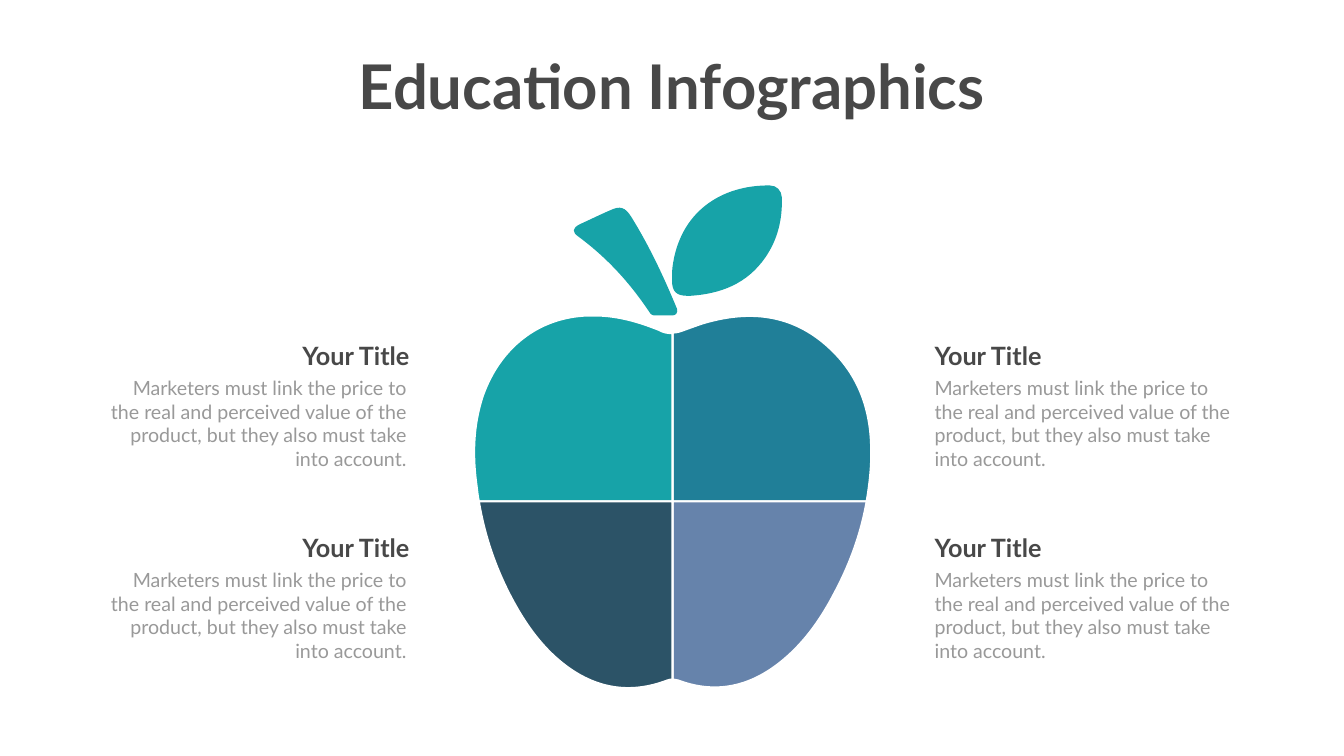
from pptx import Presentation
from pptx.dml.color import RGBColor
from pptx.enum.text import MSO_ANCHOR, MSO_AUTO_SIZE, PP_ALIGN
from pptx.oxml.ns import qn
from pptx.util import Inches, Pt

LEFT, MID, RIGHT = PP_ALIGN.LEFT, PP_ALIGN.CENTER, PP_ALIGN.RIGHT
TOP = MSO_ANCHOR.TOP
FIXED = MSO_AUTO_SIZE.NONE

WIDE, HIGH = 26.66, 15
FONT = "Lato"
DARK, GREY, WHITE = "484848", "999999", "FFFFFF"
TEAL, BLUE, NAVY, LILAC = "17A3A8", "207F98", "2C5367", "6683AB"
EDGE = 2.89

TITLE = "Education Infographics"
HEAD = "Your Title"
BODY = ("Marketers must link the price to the real and perceived value "
        "of the product, but they also must take into account.")
SIDES = [
    {"align": RIGHT, "head": (3.89, 4.33), "body": (2.01, 6.15)},
    {"align": LEFT, "head": (18.44, 4.33), "body": (18.44, 6.2)},
]
ROWS = 2
ROW_TOP, ROW_STEP = 6.7, 3.81
HEAD_HIGH, BODY_HIGH = 0.71, 1.99

CX, CY = 13.34, 9.95
STEM = [(12.98, 6.26), (12.95, 6.26, 12.92, 6.24, 12.9, 6.22),
        (12.51, 5.63, 12.05, 5.12, 11.48, 4.7),
        (11.34, 4.6, 11.35, 4.53, 11.5, 4.45),
        (11.7, 4.36, 11.9, 4.26, 12.11, 4.17),
        (12.3, 4.08, 12.4, 4.11, 12.52, 4.3),
        (12.88, 4.88, 13.17, 5.5, 13.43, 6.13),
        (13.45, 6.19, 13.41, 6.26, 13.34, 6.26)]
LEAF = [(13.69, 5.87), (13.68, 5.87, 13.66, 5.87, 13.64, 5.87),
        (13.41, 5.87, 13.33, 5.78, 13.33, 5.56),
        (13.33, 5.47, 13.33, 5.39, 13.34, 5.3),
        (13.48, 4.21, 14.3, 3.67, 15.27, 3.68),
        (15.41, 3.68, 15.5, 3.78, 15.51, 3.92),
        (15.52, 4.35, 15.43, 4.75, 15.18, 5.11),
        (14.82, 5.63, 14.3, 5.83, 13.69, 5.87)]
TOP_RIGHT = [(13.59, 6.54), (13.76, 6.48, 13.91, 6.42, 14.07, 6.38),
             (14.97, 6.14, 15.79, 6.27, 16.48, 6.93),
             (17.04, 7.46, 17.27, 8.14, 17.28, 8.89),
             (17.29, 9.25, 17.25, 9.6, 17.19, CY),
             (CX, CY), (CX, 6.6), (13.43, 6.6, 13.51, 6.57, 13.59, 6.54)]
TOP_LEFT = [(9.58, 7.85), (9.91, 6.92, 10.66, 6.29, 11.67, 6.26),
            (11.84, 6.26), (12.26, 6.27, 12.66, 6.38, 13.08, 6.55),
            (13.15, 6.59, 13.23, 6.61, 13.31, 6.61),
            (CX, 6.61), (CX, CY), (9.5, CY),
            (9.48, 9.86, 9.47, 9.78, 9.46, 9.68),
            (9.37, 9.06, 9.38, 8.45, 9.58, 7.85)]
LOW_RIGHT = [(17.19, CY), (17.08, 10.58, 16.86, 11.19, 16.55, 11.77),
             (16.27, 12.31, 15.92, 12.8, 15.44, 13.17),
             (14.83, 13.64, 14.17, 13.77, 13.45, 13.5),
             (13.41, 13.49, 13.38, 13.48, CX, 13.48), (CX, CY)]
LOW_LEFT = [(CX, 13.48), (13.31, 13.48, 13.28, 13.49, 13.24, 13.5),
            (12.48, 13.79, 11.79, 13.66, 11.16, 13.16),
            (10.76, 12.84, 10.46, 12.43, 10.21, 11.98),
            (9.86, 11.35, 9.62, 10.67, 9.5, CY), (CX, CY)]
PARTS = [
    (STEM, TEAL, False),
    (LEAF, TEAL, False),
    (TOP_RIGHT, BLUE, True),
    (TOP_LEFT, TEAL, True),
    (LOW_RIGHT, LILAC, True),
    (LOW_LEFT, NAVY, True),
]


def color(code):
    return RGBColor.from_string(code)


def bend(shape, parts):
    lines = iter(list(shape._element.iter(qn("a:lnTo"))))
    for part in parts:
        first = next(lines)
        if len(part) == 2:
            continue
        curve = first.makeelement(qn("a:cubicBezTo"))
        first.addprevious(curve)
        for line in (first, next(lines), next(lines)):
            curve.append(line[0])
            line.getparent().remove(line)


def draw(slide, outline, fill, edge):
    spots = [(Inches(part[k]), Inches(part[k + 1]))
             for part in outline for k in range(0, len(part), 2)]
    pen = slide.shapes.build_freeform(*spots[0])
    pen.add_line_segments(spots[1:], close=True)
    shape = pen.convert_to_shape()
    bend(shape, outline[1:])
    shape.shadow.inherit = False
    shape.fill.solid()
    shape.fill.fore_color.rgb = color(fill)
    if edge:
        shape.line.color.rgb = color(WHITE)
        shape.line.width = Pt(EDGE)
    else:
        shape.line.fill.background()


def write(shape, text, size, ink, align, bold=False, wrap=True):
    frame = shape.text_frame
    frame.text = text
    frame.word_wrap = wrap
    frame.auto_size = FIXED
    frame.vertical_anchor = TOP
    para = frame.paragraphs[0]
    para.alignment = align
    font = para.runs[0].font
    font.name, font.size, font.bold = FONT, Pt(size), bold
    font.color.rgb = color(ink)


def label(slide, span, top, high, *style):
    left, wide = span
    box = slide.shapes.add_textbox(*map(Inches, (left, top, wide, high)))
    write(box, *style)


def main():
    deck = Presentation()
    deck.slide_width, deck.slide_height = Inches(WIDE), Inches(HIGH)
    slide = deck.slides.add_slide(deck.slide_layouts[5])

    title = slide.shapes.title
    title.left, title.top = Inches(6.88), Inches(0.91)
    title.width, title.height = Inches(12.89), Inches(1.58)
    write(title, TITLE, 88, DARK, MID, True, False)

    for part in PARTS:
        draw(slide, *part)

    for side in SIDES:
        for row in range(ROWS):
            top = ROW_TOP + row * ROW_STEP
            label(slide, side["head"], top, HEAD_HIGH,
                  HEAD, 36, DARK, side["align"], True)
            label(slide, side["body"], top + HEAD_HIGH, BODY_HIGH,
                  BODY, 28, GREY, side["align"])

    deck.save("out.pptx")


if __name__ == "__main__":
    main()
